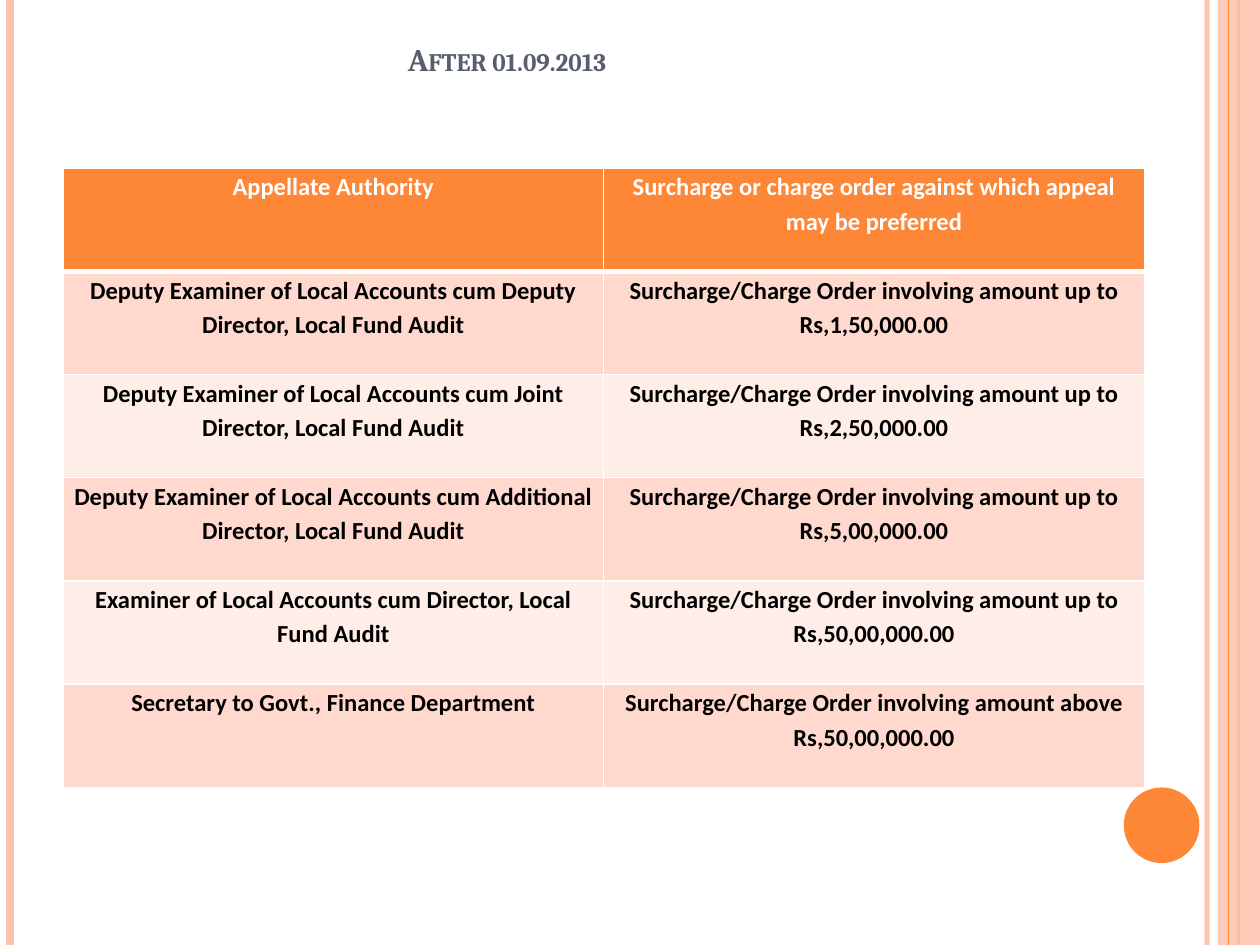
from typing import NamedTuple

from lxml import etree
from pptx import Presentation
from pptx.dml.color import RGBColor
from pptx.enum import shapes, text
from pptx.oxml import ns
from pptx.util import Pt

COLORS = {
    "orange": "FE8637",
    "peach": "FEC3AE",
    "band_dark": "FFD9CE",
    "band_light": "FFEDE8",
    "white": "FFFFFF",
    "black": "000000",
    "slate": "575F6D",
}
SLIDE_W, SLIDE_H = 720, 540
TABLE_X, TABLE_Y, COL_W, ROW_H = 36, 96, 309, 59


class Stripe(NamedTuple):
    x: float
    width: float
    color: str
    opacity: int = 100


class Block(NamedTuple):
    kind: shapes.MSO_SHAPE
    x: float
    y: float
    w: float
    h: float
    color: str
    opacity: int = 100


class Appeal(NamedTuple):
    authority: str
    order: str


# Back-to-front edge decoration
DECOR = [
    Stripe(689.8, 3, "peach", 93),
    Stripe(5.8, 4.5, "peach"),
    Stripe(707.8, 1.5, "orange"),
    Block(shapes.MSO_SHAPE.RECTANGLE, 696, 0, 24, SLIDE_H, "peach", 87),
    Stripe(702, 0.75, "orange"),
    Block(shapes.MSO_SHAPE.OVAL, 642.2, 450, 43.2, 43.2, "orange"),
]

HEADER = Appeal("Appellate Authority",
                "Surcharge or charge order against which appeal may be preferred")
ORDER = "Surcharge/Charge Order involving amount"
DEPUTY = "Deputy Examiner of Local Accounts cum"
APPEALS = [
    Appeal(f"{DEPUTY} Deputy Director, Local Fund Audit", f"{ORDER} up to Rs,1,50,000.00"),
    Appeal(f"{DEPUTY} Joint Director, Local Fund Audit", f"{ORDER} up to Rs,2,50,000.00"),
    Appeal(f"{DEPUTY} Additional Director, Local Fund Audit", f"{ORDER} up to Rs,5,00,000.00"),
    Appeal("Examiner of Local Accounts cum Director, Local Fund Audit",
           f"{ORDER} up to Rs,50,00,000.00"),
    Appeal("Secretary to Govt., Finance Department", f"{ORDER} above Rs,50,00,000.00"),
]


def rgb(name: str) -> RGBColor:
    return RGBColor.from_string(COLORS[name])


def set_opacity(sp, percent: int) -> None:
    if percent < 100:
        color = sp._element.spPr.find(f".//{ns.qn('a:srgbClr')}")
        etree.SubElement(color, ns.qn("a:alpha"), val=str(percent * 1000))


def draw_stripe(slide, stripe: Stripe) -> None:
    line = slide.shapes.add_connector(shapes.MSO_CONNECTOR.STRAIGHT, Pt(stripe.x), 0,
                                      Pt(stripe.x), Pt(SLIDE_H))
    line.line.color.rgb = rgb(stripe.color)
    line.line.width = Pt(stripe.width)
    etree.SubElement(line._element.spPr, ns.qn("a:effectLst"))
    set_opacity(line, stripe.opacity)


def draw_block(slide, block: Block) -> None:
    sp = slide.shapes.add_shape(block.kind, Pt(block.x), Pt(block.y), Pt(block.w), Pt(block.h))
    sp.shadow.inherit = False
    sp.fill.solid()
    sp.fill.fore_color.rgb = rgb(block.color)
    sp.line.fill.background()
    set_opacity(sp, block.opacity)


def format_run(r, font: str, size: float, color: str) -> None:
    r.font.name, r.font.size, r.font.bold = font, Pt(size), True
    r.font.color.rgb = rgb(color)


def set_borders(cell, top: float, bottom: float) -> None:
    tc_pr = cell._tc.get_or_add_tcPr()
    widths = {"lnL": 1, "lnR": 1, "lnT": top, "lnB": bottom}
    for i, (side, width) in enumerate(widths.items()):
        ln = etree.Element(ns.qn(f"a:{side}"), w=str(Pt(width)))
        fill = etree.SubElement(ln, ns.qn("a:solidFill"))
        etree.SubElement(fill, ns.qn("a:srgbClr"), val=COLORS["white"])
        tc_pr.insert(i, ln)


def fill_cell(cell, wording: str, row: int) -> None:
    cell.margin_left = cell.margin_right = Pt(5)
    cell.margin_top = cell.margin_bottom = 0
    cell.fill.solid()
    band = "band_dark" if row % 2 else "band_light"
    cell.fill.fore_color.rgb = rgb(band if row else "orange")
    set_borders(cell, top=3 if row == 1 else 1, bottom=1 if row else 3)
    p = cell.text_frame.paragraphs[0]
    p.text = wording
    p.alignment = text.PP_ALIGN.CENTER
    p.line_spacing = 1.15
    format_run(p.runs[0], "Calibri", 14, "black" if row else "white")


def draw_table(slide, rows: list[Appeal]) -> None:
    table = slide.shapes.add_table(len(rows), 2, Pt(TABLE_X), Pt(TABLE_Y),
                                   Pt(2 * COL_W), Pt(ROW_H * len(rows))).table
    for column in table.columns:
        column.width = Pt(COL_W)
    for i, appeal in enumerate(rows):
        table.rows[i].height = Pt(ROW_H)
        for j, wording in enumerate(appeal):
            fill_cell(table.cell(i, j), wording, i)


def draw_title(slide, wording: str) -> None:
    title = slide.shapes.title
    title.left, title.top, title.width, title.height = Pt(36), Pt(12), Pt(588), Pt(102)
    tf = title.text_frame
    tf.text = wording
    tf.word_wrap = True
    tf.auto_size = text.MSO_AUTO_SIZE.NONE
    tf.vertical_anchor = text.MSO_ANCHOR.TOP
    tf.margin_left, tf.margin_top = Pt(197), Pt(11)
    p = tf.paragraphs[0]
    p.alignment = text.PP_ALIGN.LEFT
    format_run(p.runs[0], "Cambria", 18, "slate")
    p.runs[0].font._element.set("cap", "small")


def main() -> None:
    prs = Presentation()
    prs.slide_width, prs.slide_height = Pt(SLIDE_W), Pt(SLIDE_H)
    slide = prs.slides.add_slide(prs.slide_layouts[5])
    for item in DECOR:
        if isinstance(item, Stripe):
            draw_stripe(slide, item)
        else:
            draw_block(slide, item)
    draw_title(slide, "After 01.09.2013")
    draw_table(slide, [HEADER, *APPEALS])
    prs.save("out.pptx")


if __name__ == "__main__":
    main()
